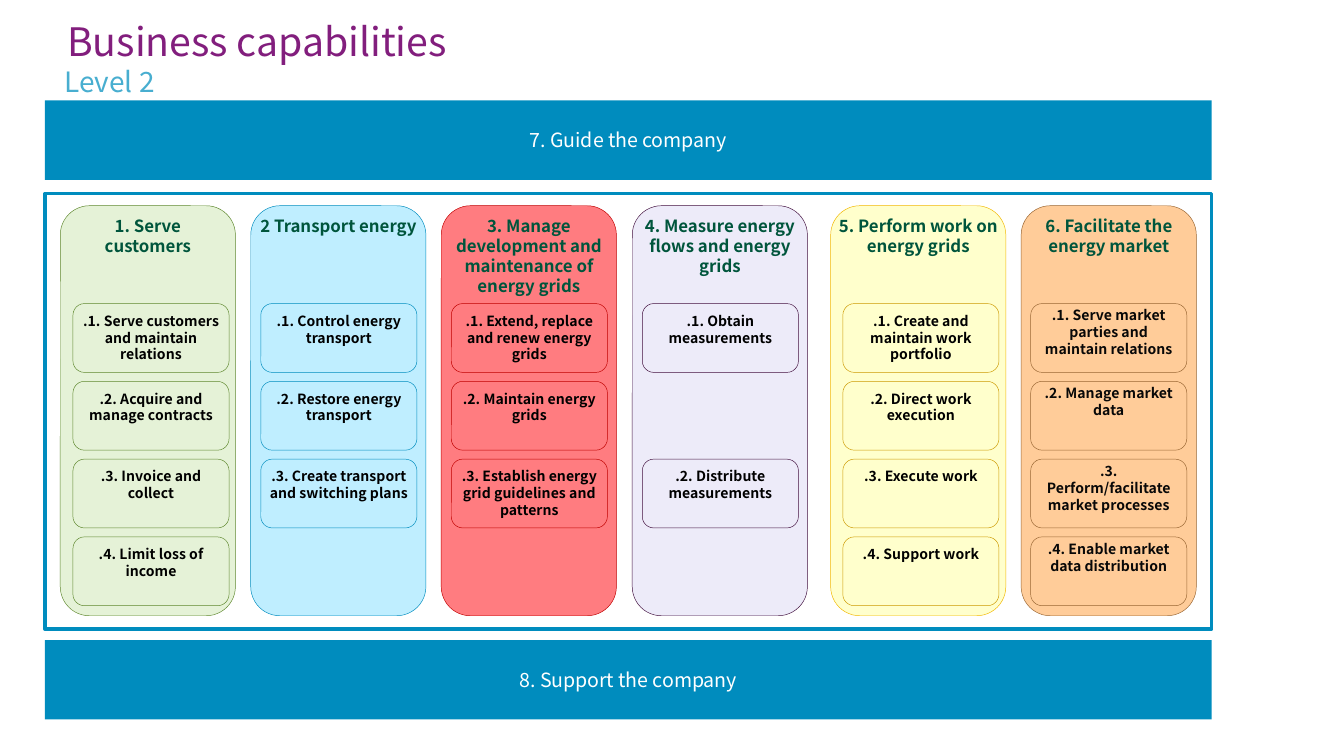
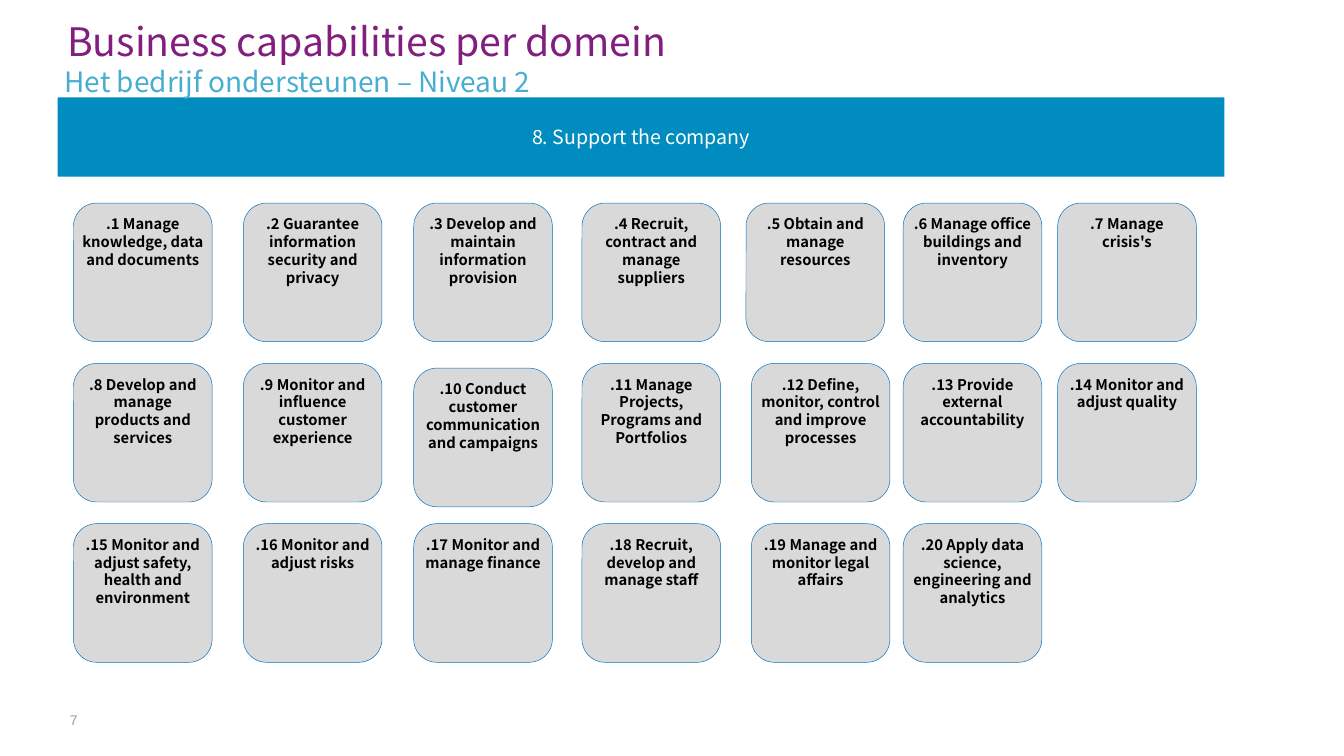
import pptx
import pptx.util
import pptx.dml.color
import pptx.enum.shapes
import pptx.enum.text

Cm, Pt = pptx.util.Cm, pptx.util.Pt
SHAPE = pptx.enum.shapes.MSO_SHAPE
ALIGN = pptx.enum.text.PP_ALIGN
ANCHOR = pptx.enum.text.MSO_ANCHOR

FONT = "Noto Sans CJK TC"
PURPLE, SKY, BLUE, GREEN = "821E7D", "48AED0", "008CBE", "00553C"
WHITE, BLACK, GREY = "FFFFFF", "000000", "9E9C9E"
BAND_W, BAND_H = 22.05, 1.5


def rgb(value):
    return pptx.dml.color.RGBColor.from_string(value)


def put(sp, box, text="", size=9, color=BLACK, bold=False, font=FONT, align=ALIGN.CENTER,
        anchor=ANCHOR.TOP, insets=(0, 0, 0, 0), spacing=None, wrap=True,
        fill=None, line=None, line_width=0.25):
    """Place a shape (box and insets in cm), paint it and write one paragraph per text line."""
    for name, value in zip(("left", "top", "width", "height"), box):
        setattr(sp, name, Cm(value))
    if sp.shape_type == pptx.enum.shapes.MSO_SHAPE_TYPE.AUTO_SHAPE:
        sp.shadow.inherit = False
    if fill:
        sp.fill.solid()
        sp.fill.fore_color.rgb = rgb(fill)
    else:
        sp.fill.background()
    if line:
        sp.line.color.rgb = rgb(line)
        sp.line.width = Pt(line_width)
    else:
        sp.line.fill.background()
    tf = sp.text_frame
    tf.auto_size = pptx.enum.text.MSO_AUTO_SIZE.NONE
    tf.word_wrap, tf.vertical_anchor = wrap, anchor
    for side, value in zip(("left", "top", "right", "bottom"), insets):
        setattr(tf, "margin_" + side, Cm(value))
    if not text:
        return
    for i, words in enumerate(text.split("\n")):
        p = tf.add_paragraph() if i else tf.paragraphs[0]
        p.alignment, p.line_spacing = align, spacing
        r = p.add_run()
        r.text = words
        for name, value in {"name": font, "size": Pt(size), "bold": bold}.items():
            setattr(r.font, name, value)
        r.font.color.rgb = rgb(color)


prs = pptx.Presentation()
prs.slide_width, prs.slide_height = Cm(25.4), Cm(14.29)

# Title, subtitle and blue bands (left, top, text) of both slides
frames = [
    ("Business capabilities", "Level 2",
     [(0.85, 1.9, "7. Guide the company"), (0.85, 12.1, "8. Support the company")]),
    ("Business capabilities per domein", "Het bedrijf ondersteunen – Niveau 2",
     [(1.09, 1.84, "8. Support the company")]),
]
slides = []
for title, subtitle, bands in frames:
    s = prs.slides.add_slide(prs.slide_layouts[5])
    put(s.shapes.title, (1.27, 0.23, 18.49, 0.99), title, 21, PURPLE,
        align=ALIGN.LEFT, spacing=Pt(28))
    for left, top, text in bands:
        put(s.shapes.add_shape(SHAPE.RECTANGLE, 0, 0, 0, 0), (left, top, BAND_W, BAND_H),
            text, 10.5, WHITE, anchor=ANCHOR.MIDDLE, insets=(0.18, 0.1, 0.18, 0.1), fill=BLUE)
    put(s.shapes.add_textbox(0, 0, 0, 0), (1.22, 1.09, 19.18, 0.56), subtitle, 15, SKY,
        align=ALIGN.LEFT, spacing=1.2)
    slides.append(s)
overview, support = slides

# Slide 1: six domains in a frame, each a column of cards
put(overview.shapes.add_shape(SHAPE.RECTANGLE, 0, 0, 0, 0), (0.85, 3.66, BAND_W, 8.23),
    fill=WHITE, line=BLUE, line_width=2)

# Column left, card left, fill, column line, card line, card side inset, heading, cards by row
domains = [
    (1.14, 1.38, "E5F2D7", "5E872D", "5E872D", 0.08, "1. Serve\ncustomers",
     [".1. Serve customers and maintain relations", ".2. Acquire and manage contracts",
      ".3. Invoice and collect", ".4. Limit loss of income"]),
    (4.74, 4.93, "BFEEFF", BLUE, BLUE, 0, "2 Transport energy",
     [".1. Control energy transport", ".2. Restore energy transport",
      ".3. Create transport and switching plans"]),
    (8.34, 8.53, "FF7C80", "C00000", "C00000", 0,
     "3. Manage development and maintenance of energy grids",
     [".1. Extend, replace and renew energy grids", ".2. Maintain energy grids",
      ".3. Establish energy grid guidelines and patterns"]),
    (11.95, 12.14, "EDEBF9", "410F3E", "410F3E", 0, "4. Measure energy flows and energy grids",
     [".1. Obtain measurements", None, ".2. Distribute measurements"]),
    (15.7, 15.93, "FFFFCC", "F2B800", "CC9900", 0.08, "5. Perform work on\nenergy grids",
     [".1. Create and maintain work portfolio", ".2. Direct work execution",
      ".3. Execute work", ".4. Support work"]),
    (19.3, 19.48, "FFCC99", "996633", "996633", 0.18, "6. Facilitate the energy market",
     [".1. Serve market parties and maintain relations", ".2. Manage market data",
      ".3. Perform/facilitate market processes", ".4. Enable market data distribution"]),
]
for left, card_left, fill, line, card_line, side, heading, cards in domains:
    put(overview.shapes.add_shape(SHAPE.ROUNDED_RECTANGLE, 0, 0, 0, 0), (left, 3.89, 3.31, 7.75),
        heading, 9, GREEN, True, insets=(0, 0.02, 0, 0.1), spacing=Pt(10.8),
        wrap="\n" not in heading, fill=fill, line=line)
    market = heading.startswith("6")
    for row, text in enumerate(cards):
        if text:
            put(overview.shapes.add_shape(SHAPE.ROUNDED_RECTANGLE, 0, 0, 0, 0),
                (card_left, 5.74 + row * 1.47, 2.95, 1.3), text, 7.5,
                "080808" if market else BLACK, True,
                insets=(side, 0 if market else 0.1, side, 0 if market else 0.1),
                spacing=Pt(9), fill=None if market else fill, line=card_line)

# Slide 2: numbered support capabilities, seven to a row
capabilities = [
    "Manage knowledge, data and documents", "Guarantee information security and privacy",
    "Develop and maintain information provision", "Recruit, contract and manage suppliers",
    "Obtain and manage resources", "Manage office buildings and inventory", "Manage crisis's",
    "Develop and manage products and services", "Monitor and influence customer experience",
    "Conduct customer communication and campaigns", "Manage Projects, Programs and Portfolios",
    "Define, monitor, control and improve processes", "Provide external accountability",
    "Monitor and adjust quality", "Monitor and adjust safety, health and environment",
    "Monitor and adjust risks", "Monitor and manage finance",
    "Recruit, develop and manage staff", "Manage and monitor legal affairs",
    "Apply data science, engineering and analytics",
]
lefts = [1.39, 4.6, 7.82, 11, 14.2, 17.07, 19.99]
nudges = {5: (-0.1, 0), 10: (0, 0.09)}
for i, text in enumerate(capabilities):
    row, col = divmod(i, len(lefts))
    dx, dy = nudges.get(i + 1, (0, 0))
    put(support.shapes.add_shape(SHAPE.ROUNDED_RECTANGLE, 0, 0, 0, 0),
        (lefts[col] + dx, 3.84 + row * 3.03 + dy, 2.62, 2.62), f".{i + 1} {text}", 7.9,
        bold=True, insets=(0, 0.1, 0, 0.1), spacing=Pt(9.5), fill="D9D9D9", line="0070C0")
put(support.shapes.add_textbox(0, 0, 0, 0), (1.32, 13.44, 5.72, 0.76), "7", 7.5, GREY,
    font="Arial", align=ALIGN.LEFT)

prs.save("out.pptx")
